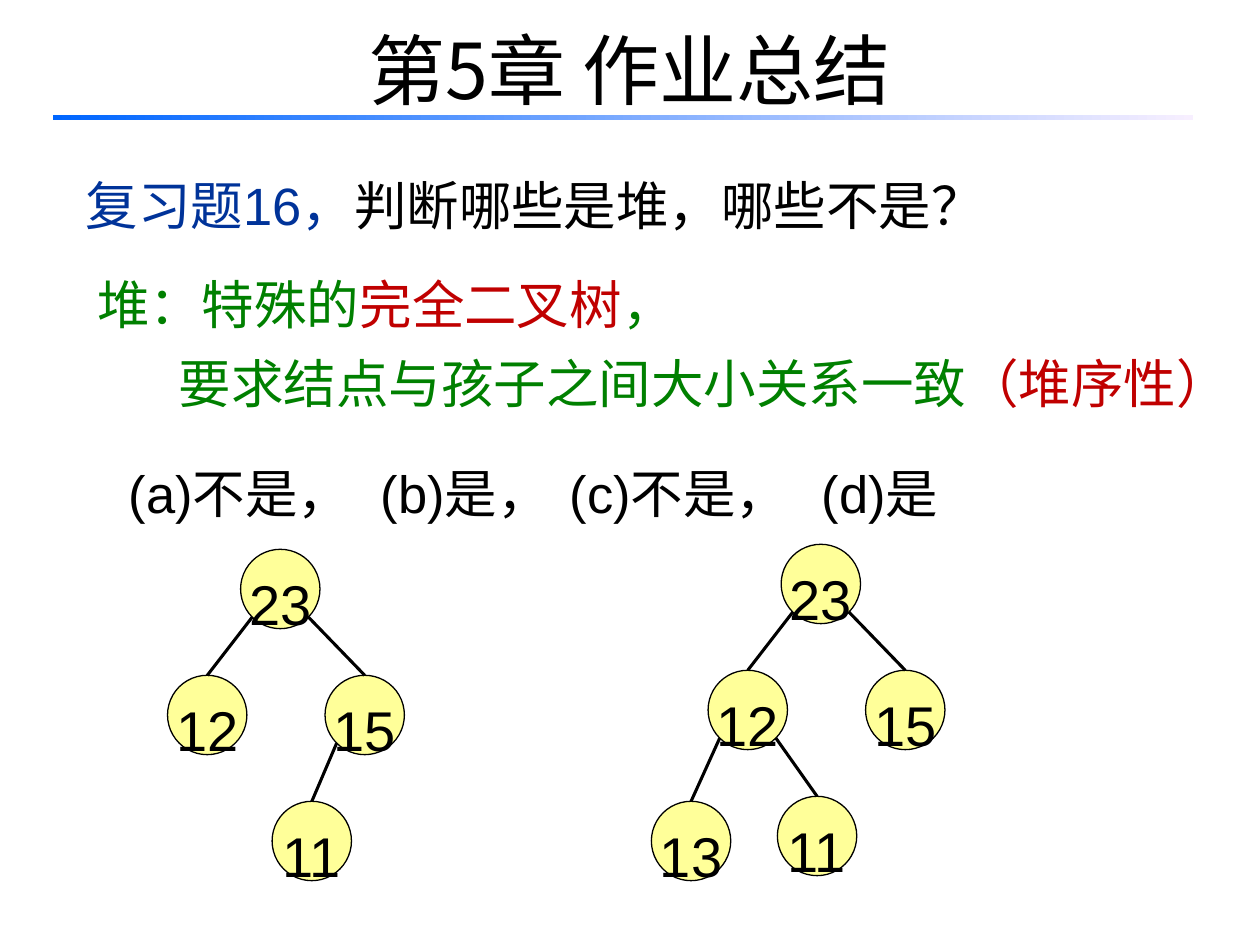
import math

from pptx import Presentation
from pptx import util as u
from pptx.dml.color import RGBColor
from pptx.enum import shapes, text
from pptx.oxml import ns
from lxml import etree

COLORS = {
    "black": "000000", "blue": "003399", "green": "008000", "red": "C00000",
    "node": "FFFF99", "bar start": "0066FF", "bar end": "F7EFFF",
}
LATIN, CJK = "Arial", "Noto Sans CJK SC"

TITLE = "第5章 作业总结"
# Each paragraph: left indent (inches), paragraph format, tab stops (inches), runs
BODY = [
    (0.16, {"line_spacing": 1.3, "space_before": u.Pt(0)}, [],
     [("复习题16，", "blue"), ("判断哪些是堆，哪些不是？", "black")]),
    (0.25, {"line_spacing": 1.25, "space_before": u.Pt(12)}, [],
     [("堆：特殊的", "green"), ("完全二叉树", "red"), ("，", "green")]),
    (0.9, {"line_spacing": 1.25, "space_before": u.Pt(0)}, [],
     [("要求结点与孩子之间大小关系一致", "green"), ("（堆序性）", "red")]),
    (0, {"line_spacing": 1.25, "space_before": u.Pt(18)}, [1.05, 3.57, 5.4, 7.71],
     [("\t(a)不是，\t(b)是，\t(c)不是，\t(d)是", "black")]),
]
# Each tree: nodes as value -> (left, top), edges as (parent, child)
TREES = [
    ({"23": (1.91, 4.36), "12": (1.33, 5.36), "15": (2.58, 5.36), "11": (2.16, 6.36)},
     [("23", "12"), ("23", "15"), ("15", "11")]),
    ({"23": (6.2, 4.32), "12": (5.62, 5.32), "15": (6.87, 5.32),
      "13": (5.17, 6.36), "11": (6.17, 6.32)},
     [("23", "12"), ("23", "15"), ("12", "13"), ("12", "11")]),
]
NODE_SIZE = u.Inches(0.63)


def color(name):
    return RGBColor.from_string(COLORS[name])


def apply(target, **values):
    for name, value in values.items():
        setattr(target, name, value)


def place(shape, left, top, width, height):
    apply(shape, left=u.Inches(left), top=u.Inches(top),
          width=u.Inches(width), height=u.Inches(height))


def add_run(paragraph, words, size, color_name, latin=LATIN):
    run = paragraph.add_run()
    run.text = words
    apply(run.font, size=u.Pt(size), name=latin)
    run.font.color.rgb = color(color_name)
    east_asian = etree.Element(ns.qn("a:ea"), typeface=CJK)
    run.font._element.find(ns.qn("a:latin")).addnext(east_asian)


def set_indent(paragraph, left, tabs):
    """Remove the bullet, set a flush left indent and add tab stops."""
    properties = paragraph._p.get_or_add_pPr()
    properties.set("marL", str(u.Inches(left)))
    properties.set("indent", "0")
    etree.SubElement(properties, ns.qn("a:buNone"))
    if tabs:
        tab_list = etree.SubElement(properties, ns.qn("a:tabLst"))
        for position in tabs:
            etree.SubElement(tab_list, ns.qn("a:tab"),
                             pos=str(u.Inches(position)), algn="l")


def add_title(slide):
    title = slide.shapes.title
    place(title, 0.5, -0.08, 9, 1.25)
    title.text_frame.vertical_anchor = text.MSO_ANCHOR.MIDDLE
    paragraph = title.text_frame.paragraphs[0]
    paragraph.alignment = text.PP_ALIGN.CENTER
    add_run(paragraph, TITLE, 44, "black", CJK)


def add_bar(slide):
    bar = slide.shapes.add_shape(shapes.MSO_SHAPE.RECTANGLE, 0, 0, 0, 0)
    place(bar, 0.42, 0.91, 9.05, 0.04)
    bar.shadow.inherit = False
    bar.line.fill.background()
    bar.fill.gradient()
    bar.fill.gradient_angle = 0
    for stop, name in zip(bar.fill.gradient_stops, ("bar start", "bar end")):
        stop.color.rgb = color(name)


def add_body(slide):
    body = slide.placeholders[1]
    place(body, 0.42, 1.17, 9.58, 6.19)
    frame = body.text_frame
    apply(frame, word_wrap=True, vertical_anchor=text.MSO_ANCHOR.TOP,
          auto_size=text.MSO_AUTO_SIZE.SHAPE_TO_FIT_TEXT)
    for index, (left, spacing, tabs, runs) in enumerate(BODY):
        paragraph = frame.add_paragraph() if index else frame.paragraphs[0]
        set_indent(paragraph, left, tabs)
        apply(paragraph, **spacing)
        for words, color_name in runs:
            add_run(paragraph, words, 30, color_name)


def add_node(slide, value, left, top):
    node = slide.shapes.add_shape(shapes.MSO_SHAPE.OVAL, u.Inches(left),
                                  u.Inches(top), NODE_SIZE, NODE_SIZE)
    node.shadow.inherit = False
    node.fill.solid()
    node.fill.fore_color.rgb = color("node")
    node.line.color.rgb = color("black")
    node.line.width = u.Pt(0.75)
    apply(node.text_frame, word_wrap=False, margin_top=u.Inches(0.14),
          vertical_anchor=text.MSO_ANCHOR.MIDDLE)
    paragraph = node.text_frame.paragraphs[0]
    apply(paragraph, alignment=text.PP_ALIGN.CENTER, line_spacing=1.25)
    add_run(paragraph, value, 32, "black")
    return node


def add_edge(slide, parent, child):
    """Draw a line from the parent's lower diagonal point to the child's top."""
    side = 1 if child.left > parent.left else -1
    radius = NODE_SIZE / 2
    reach = radius * math.sqrt(0.5)
    start_x = int(parent.left + radius + side * reach)
    start_y = int(parent.top + radius + reach)
    edge = slide.shapes.add_connector(shapes.MSO_CONNECTOR.STRAIGHT,
                                      start_x, start_y, start_x, start_y)
    edge.end_connect(child, 0)
    edge.line.color.rgb = color("black")
    edge.line.width = u.Pt(1.75)
    etree.SubElement(edge._element.spPr, ns.qn("a:effectLst"))


def main():
    presentation = Presentation()
    apply(presentation, slide_width=u.Inches(10), slide_height=u.Inches(7.5))
    slide = presentation.slides.add_slide(presentation.slide_layouts[1])
    add_title(slide)
    add_bar(slide)
    add_body(slide)
    for positions, edges in TREES:
        nodes = {value: add_node(slide, value, *position)
                 for value, position in positions.items()}
        for parent, child in edges:
            add_edge(slide, nodes[parent], nodes[child])
    presentation.save("out.pptx")


if __name__ == "__main__":
    main()
